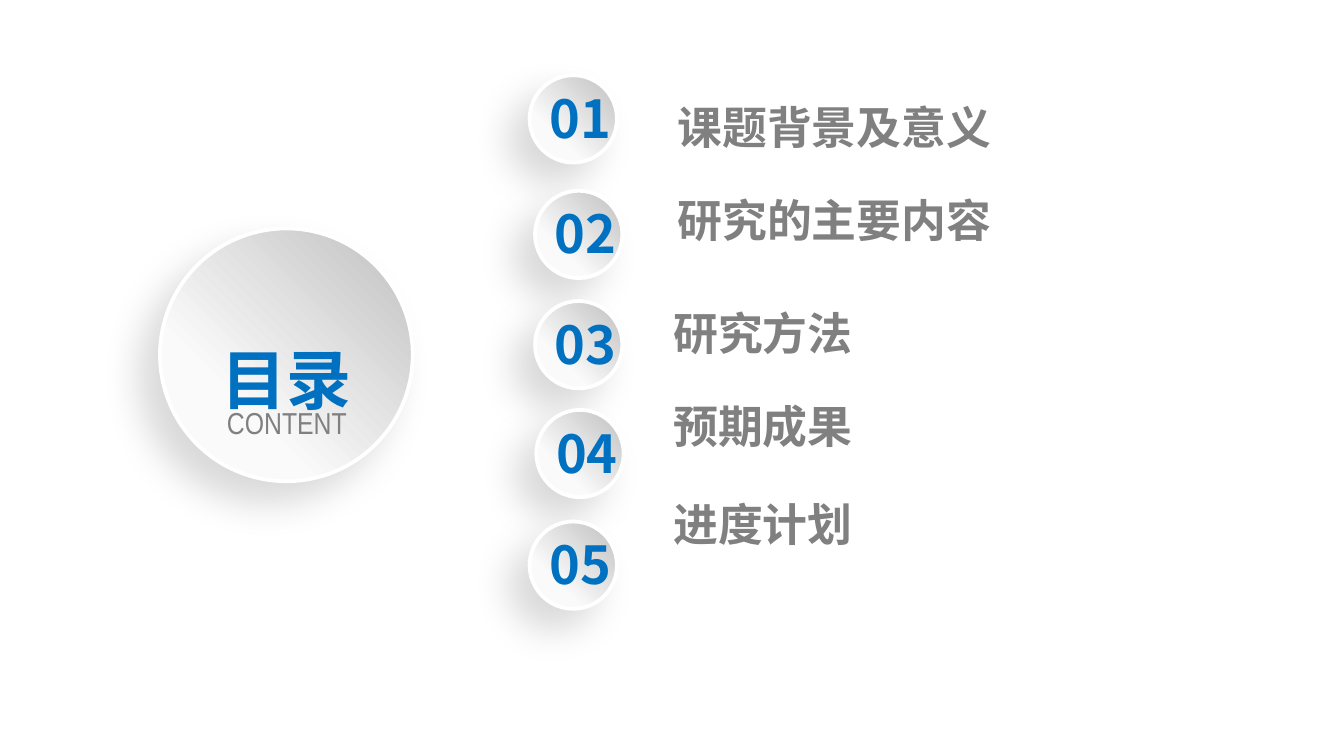
"""Build a contents slide with a title disc and five numbered topics."""
from dataclasses import dataclass

from lxml import etree
from pptx import Presentation
from pptx.dml.color import RGBColor
from pptx.enum.shapes import MSO_SHAPE as SHAPE
from pptx.enum.text import MSO_ANCHOR as ANCHOR, MSO_AUTO_SIZE as AUTO, PP_ALIGN as ALIGN
from pptx.oxml import parse_xml
from pptx.oxml.ns import nsdecls, qn
from pptx.util import Pt


@dataclass(frozen=True)
class Theme:
    """Colours, fonts and type sizes of the slide."""
    blue: str = "0070C0"
    grey: str = "808080"
    white: str = "FFFFFF"
    stops: tuple = ((0, "FFFFFF"), (0, "BFBFBF"), (70, "FAFAFA"))
    cjk: str = "Noto Sans CJK SC"
    narrow: str = "Arial Narrow"
    title: int = 60
    label: int = 28
    item: int = 24


THEME = Theme()
LINE_HEIGHT = 1.448 * THEME.item
ITEM_LEFT = 353.5
DISC = 46.8
TOPICS = (
    ("课题背景及意义", 49.7, 2.2, (283.7, 40.3)),
    ("研究的主要内容", 105.8, 2.2, (286.6, 102.2)),
    ("研究方法", 172.1, 0, (286.6, 161.3)),
    ("预期成果", 228.2, 0, (287.3, 219.6)),
    ("进度计划", 286.6, 0, (283.7, 279.4)),
)


def place(sp, left, top, width, height):
    """Position and size a shape in points."""
    sp.left, sp.top, sp.width, sp.height = map(Pt, (left, top, width, height))


def fit_frame(sp, anchor=ANCHOR.MIDDLE):
    """Let a text frame grow around unwrapped text and return it."""
    tf = sp.text_frame
    tf.word_wrap = False
    tf.auto_size = AUTO.SHAPE_TO_FIT_TEXT
    tf.vertical_anchor = anchor
    tf.margin_left = tf.margin_right = Pt(7.2)
    tf.margin_top = tf.margin_bottom = Pt(3.6)
    return tf


def write_text(p, text, *, size, color, font=THEME.cjk, bold=True,
               align=ALIGN.CENTER, spacing=1, before=0, raised=0):
    """Write one formatted run into a paragraph."""
    p.alignment, p.line_spacing = align, spacing
    p.space_before, p.space_after = Pt(before), Pt(0)
    r = p.add_run()
    r.text = text
    r.font.size, r.font.bold, r.font.name = Pt(size), bold, font
    r.font.color.rgb = RGBColor.from_string(color)
    rpr = r.font._element
    etree.SubElement(rpr, qn("a:ea")).set("typeface", font)
    if raised:
        rpr.set("baseline", str(raised * 1000))


def add_disc(shapes, left, top, size):
    """Add a raised round disc with a gradient and a soft shadow."""
    sp = shapes.add_shape(SHAPE.OVAL, Pt(left), Pt(top), Pt(size), Pt(size))
    sp.line.color.rgb = RGBColor.from_string(THEME.white)
    sp.line.width = Pt(2)
    sp.fill.background()
    sp.shadow.inherit = False
    stops = "".join(f'<a:gs pos="{pos * 1000}"><a:srgbClr val="{color}"/></a:gs>'
                    for pos, color in THEME.stops)
    sppr = sp._element.spPr
    sppr.replace(sppr.find(qn("a:noFill")), parse_xml(
        f'<a:gradFill {nsdecls("a")} rotWithShape="1"><a:gsLst>{stops}</a:gsLst>'
        '<a:lin ang="8100000" scaled="0"/></a:gradFill>'))
    sppr.find(qn("a:effectLst")).append(parse_xml(
        f'<a:outerShdw {nsdecls("a")} blurRad="{Pt(20)}" dist="{Pt(15)}" dir="8100000" '
        'algn="tr" rotWithShape="0"><a:srgbClr val="000000"><a:alpha val="15000"/>'
        '</a:srgbClr></a:outerShdw>'))


def add_label(shapes, box, text, **style):
    """Add a centred text box."""
    sp = shapes.add_textbox(*map(Pt, box))
    write_text(fit_frame(sp).paragraphs[0], text, size=THEME.label, **style)


def add_number(shapes, number, left, top):
    """Add a grouped disc with its two-digit number."""
    group = shapes.add_group_shape().shapes
    add_disc(group, left, top, DISC)
    add_label(group, (left + 2.2, top + 2.2, 49.7, 41), f"{number:02}", color=THEME.blue)


def fill_title(s):
    """Place the title in front of its disc with the subtitle below."""
    add_disc(s.shapes, 85.7, 122.4, 135.4)
    sp = s.shapes.title
    sp._element.getparent().append(sp._element)
    place(sp, 105.8, 146.2, 95, 71.3)
    write_text(fit_frame(sp).paragraphs[0], "目录", size=THEME.title,
               color=THEME.blue, spacing=1.5, raised=12)
    add_label(s.shapes, (113, 198, 81.4, 36.7), "CONTENT", color=THEME.grey,
              font=THEME.narrow, bold=False, spacing=1.5, raised=12)


def fill_topics(sp):
    """Write the topics as one list, spaced by their top positions."""
    first = TOPICS[0][1]
    place(sp, ITEM_LEFT, first, 186.5, TOPICS[-1][1] - first + LINE_HEIGHT + 7.2)
    tf = fit_frame(sp, ANCHOR.TOP)
    previous = first - LINE_HEIGHT
    for i, (text, top, indent, _) in enumerate(TOPICS):
        p = tf.add_paragraph() if i else tf.paragraphs[0]
        ppr = p._p.get_or_add_pPr()
        ppr.set("marL", str(Pt(indent)))
        ppr.set("indent", "0")
        etree.SubElement(ppr, qn("a:buNone"))
        write_text(p, text, size=THEME.item, color=THEME.grey, align=ALIGN.LEFT,
                   before=round(top - previous - LINE_HEIGHT, 1))
        previous = top


def main():
    """Build and save the slide."""
    prs = Presentation()
    prs.slide_width, prs.slide_height = Pt(720), Pt(405)
    s = prs.slides.add_slide(prs.slide_layouts[1])
    fill_title(s)
    fill_topics(s.placeholders[1])
    for number, (_, _, _, (left, top)) in enumerate(TOPICS, 1):
        add_number(s.shapes, number, left, top)
    prs.save("out.pptx")


if __name__ == "__main__":
    main()
